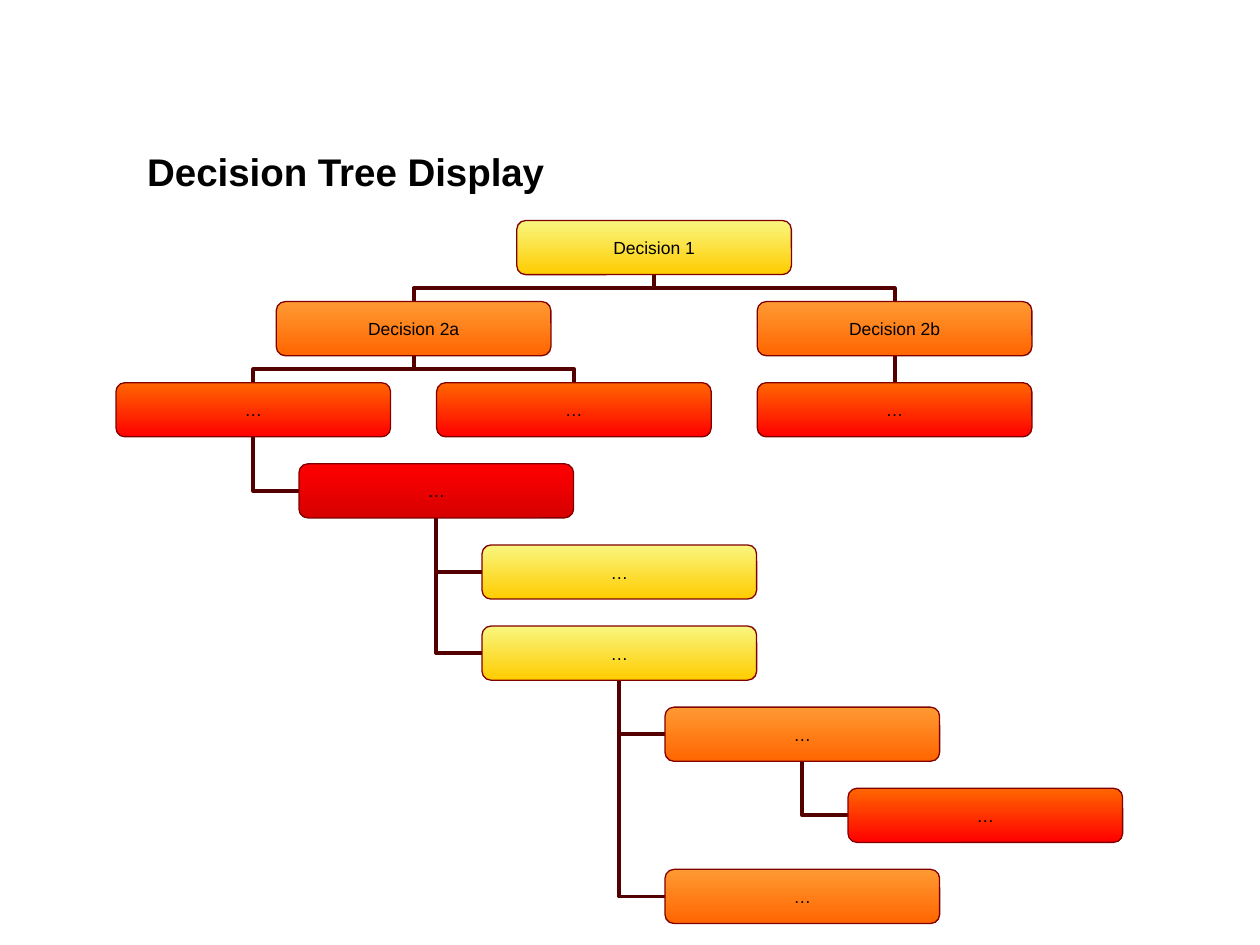
from pptx import Presentation
from pptx.dml.color import RGBColor
from pptx.enum.shapes import MSO_CONNECTOR, MSO_SHAPE
from pptx.enum.text import MSO_ANCHOR, PP_ALIGN
from pptx.oxml.xmlchemy import OxmlElement
from pptx.util import Inches, Pt

STRAIGHT, ELBOW = MSO_CONNECTOR.STRAIGHT, MSO_CONNECTOR.ELBOW
ROUNDED = MSO_SHAPE.ROUNDED_RECTANGLE
MIDDLE, BOTTOM_ANCHOR = MSO_ANCHOR.MIDDLE, MSO_ANCHOR.BOTTOM
LEFT_ALIGN, CENTER = PP_ALIGN.LEFT, PP_ALIGN.CENTER
TOP, LEFT, BOTTOM = 0, 1, 2

BOX_WIDTH, BOX_HEIGHT = 2.18, 0.43
TREE_LEFT, TREE_TOP = 0.92, 1.75
ROW_STEP = (6.9 - TREE_TOP) / 8
COLUMN_STEP = (6.01 - TREE_LEFT) / 2
INDENT_STEP = (6.73 - TREE_LEFT) / 4
LEVEL_GRADIENTS = [
    ("F9F67F", "FFCC00"),
    ("FF9933", "FF6600"),
    ("FF6600", "FF0000"),
    ("FF0000", "D60000"),
]

# key: (label, level, row, column, indent, parent)
DECISIONS = {
    "root": ("Decision 1", 0, 0, 1.25, 0, None),
    "2b": ("Decision 2b", 1, 1, 2, 0, "root"),
    "2a": ("Decision 2a", 1, 1, 0.5, 0, "root"),
    "3a": ("…", 2, 2, 0, 0, "2a"),
    "3b": ("…", 2, 2, 1, 0, "2a"),
    "3c": ("…", 2, 2, 2, 0, "2b"),
    "4": ("…", 3, 3, 0, 1, "3a"),
    "5a": ("…", 4, 4, 0, 2, "4"),
    "5b": ("…", 4, 5, 0, 2, "4"),
    "6a": ("…", 5, 6, 0, 3, "5b"),
    "6b": ("…", 5, 8, 0, 3, "5b"),
    "7": ("…", 6, 7, 0, 4, "6a"),
}


def color(hex_value):
    return RGBColor.from_string(hex_value)


def set_attributes(target, values):
    for name, value in values.items():
        setattr(target, name, value)


def write_text(frame, text, frame_format, font_format, alignment):
    set_attributes(frame, frame_format)
    paragraph = frame.paragraphs[0]
    paragraph.alignment = alignment
    run = paragraph.add_run()
    run.text = text
    set_attributes(run.font, {"name": "Arial", **font_format})
    run.font.color.rgb = color("000000")


def add_title(slide, text):
    title = slide.shapes.add_textbox(
        Inches(1.07), Inches(1.12), Inches(7.59), Inches(0.47)
    )
    frame_format = {"word_wrap": True, "vertical_anchor": BOTTOM_ANCHOR}
    font_format = {"size": Pt(22), "bold": True}
    write_text(title.text_frame, text, frame_format, font_format, LEFT_ALIGN)


def add_decision(slide, label, level, row, column, indent):
    left = TREE_LEFT + column * COLUMN_STEP + indent * INDENT_STEP
    decision = slide.shapes.add_shape(
        ROUNDED, Inches(left), Inches(TREE_TOP + row * ROW_STEP),
        Inches(BOX_WIDTH), Inches(BOX_HEIGHT),
    )
    decision.shadow.inherit = False
    decision.fill.gradient()
    decision.fill.gradient_angle = 270
    gradient = LEVEL_GRADIENTS[level % len(LEVEL_GRADIENTS)]
    for stop, position, hex_value in zip(decision.fill.gradient_stops, (0, 1), gradient):
        stop.position = position
        stop.color.rgb = color(hex_value)
    decision.line.color.rgb = color("800000")
    decision.line.width = Pt(0.75)
    side_margin = Inches(0.1 if indent else 0)
    frame_format = {
        "word_wrap": False, "vertical_anchor": MIDDLE,
        "margin_left": side_margin, "margin_right": side_margin,
        "margin_top": 0, "margin_bottom": 0,
    }
    write_text(decision.text_frame, label, frame_format, {"size": Pt(10)}, CENTER)
    return decision


def add_branch(slide, kind, child, child_side, parent):
    branch = slide.shapes.add_connector(kind, 0, 0, 0, 0)
    branch.begin_connect(child, child_side)
    branch.end_connect(parent, BOTTOM)
    branch.line.color.rgb = color("540000")
    branch.line.width = Pt(2.25)
    branch._element.spPr.append(OxmlElement("a:effectLst"))
    slide.shapes._spTree.insert(2, branch._element)
    return branch


def place_branch(branch, left, top, width, height, **transform):
    set_attributes(branch, {"left": left, "top": top, "width": width, "height": height})
    xfrm = branch._element.spPr.xfrm
    set_attributes(xfrm, {"flipH": False, "flipV": False, **transform})


def add_hanging_branch(slide, child, parent):
    branch = add_branch(slide, ELBOW, child, LEFT, parent)
    branch._element.spPr.prstGeom.set("prst", "bentConnector2")
    trunk = parent.left + parent.width // 2
    top = parent.top + parent.height
    drop = child.top + child.height // 2 - top
    place_branch(branch, trunk, top, child.left - trunk, drop, rot=180)


def add_forking_branch(slide, child, parent):
    branch = add_branch(slide, ELBOW, child, TOP, parent)
    parent_bottom = parent.top + parent.height
    drop, offset = child.top - parent_bottom, child.left - parent.left
    span = abs(offset)
    center_x = parent.left + parent.width // 2 + offset // 2
    center_y = parent_bottom + drop // 2
    goes_left = offset < 0
    place_branch(
        branch, center_x - drop // 2, center_y - span // 2, drop, span,
        rot=90 if goes_left else 270, flipH=goes_left, flipV=True,
    )


def main():
    presentation = Presentation()
    set_attributes(presentation, {"slide_width": Inches(10), "slide_height": Inches(7.5)})
    slide = presentation.slides.add_slide(presentation.slide_layouts[6])
    add_title(slide, "Decision Tree Display")

    boxes = {}
    for key, (label, level, row, column, indent, parent_key) in DECISIONS.items():
        box = add_decision(slide, label, level, row, column, indent)
        boxes[key] = box
        if parent_key is None:
            continue
        parent = boxes[parent_key]
        if indent:
            add_hanging_branch(slide, box, parent)
        elif box.left == parent.left:
            add_branch(slide, STRAIGHT, box, TOP, parent)
        else:
            add_forking_branch(slide, box, parent)

    presentation.save("out.pptx")


if __name__ == "__main__":
    main()
